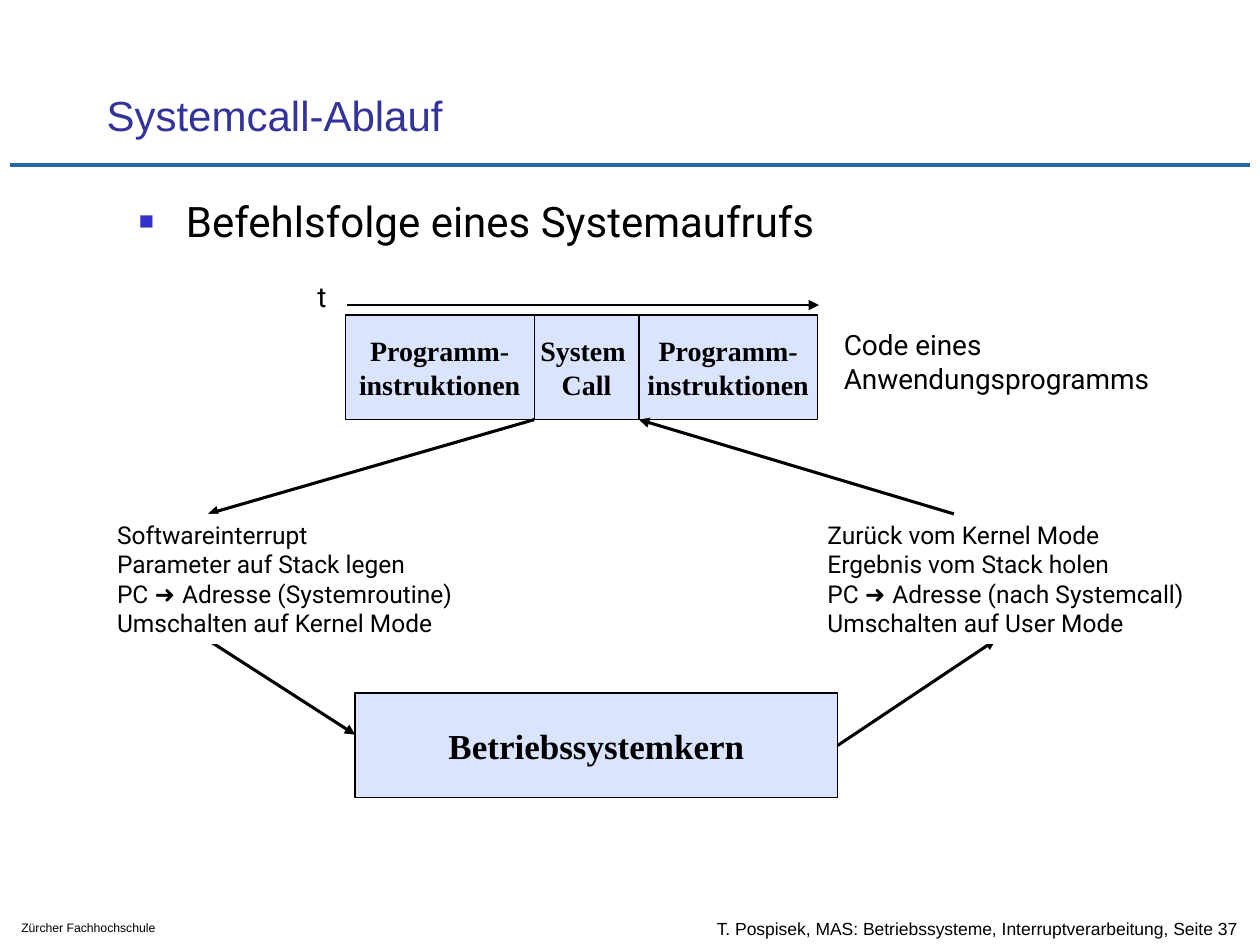
from lxml import etree
from pptx import Presentation
from pptx.dml.color import RGBColor
from pptx.enum.shapes import MSO_CONNECTOR as Connector, MSO_SHAPE as Shape
from pptx.enum.text import MSO_ANCHOR as Anchor, PP_ALIGN as Align
from pptx.oxml.ns import qn
from pptx.util import Cm, Pt

BLACK = RGBColor(0x00, 0x00, 0x00)
WHITE = RGBColor(0xFF, 0xFF, 0xFF)
TITLE_BLUE = RGBColor(0x33, 0x33, 0x99)
RULE_BLUE = RGBColor(0x22, 0x66, 0xAB)
BOX_BLUE = RGBColor(0xDA, 0xE4, 0xFF)
BULLET_BLUE = "3333CC"
ARROW_SIGN = "➜ "


def write(shape, text, size=14, font="Roboto", color=BLACK, bold=False,
          align=Align.LEFT, anchor=Anchor.TOP, wrap=False):
    """Write one paragraph per line; the arrow sign is set in Arial."""
    frame = shape.text_frame
    frame.word_wrap = wrap
    frame.vertical_anchor = anchor
    for i, line in enumerate(text.split("\n")):
        paragraph = frame.add_paragraph() if i else frame.paragraphs[0]
        paragraph.alignment = align
        for part in filter(None, line.partition(ARROW_SIGN)):
            run = paragraph.add_run()
            run.text = part
            run.font.name = "Arial" if part == ARROW_SIGN else font
            run.font.size = Pt(size)
            run.font.bold = bold
            run.font.color.rgb = color


def add_text(slide, area, text, **style):
    box = slide.shapes.add_textbox(*map(Cm, area))
    write(box, text, **style)
    return box


def add_rect(slide, area, fill, text, outlined=False, **style):
    rect = slide.shapes.add_shape(Shape.RECTANGLE, *map(Cm, area))
    rect.shadow.inherit = False
    rect.fill.solid()
    rect.fill.fore_color.rgb = fill
    if outlined:
        rect.line.color.rgb = BLACK
        rect.line.width = Pt(0.75)
    else:
        rect.line.fill.background()
    write(rect, text, **style)
    return rect


def add_block(slide, area, text, size=16):
    return add_rect(slide, area, BOX_BLUE, text, outlined=True, size=size,
                    font="Times New Roman", bold=True, align=Align.CENTER,
                    anchor=Anchor.MIDDLE)


def add_label(slide, area, text, size=14):
    return add_rect(slide, area, WHITE, text, size=size)


def add_line(slide, start, end, width=1.75, color=BLACK, arrow=True):
    line = slide.shapes.add_connector(Connector.STRAIGHT, *map(Cm, start + end))
    line.line.color.rgb = color
    line.line.width = Pt(width)
    if arrow:
        etree.SubElement(line.line._get_or_add_ln(), qn("a:tailEnd"), type="triangle")
    etree.SubElement(line._element.spPr, qn("a:effectLst"))
    return line


def add_square_bullet(paragraph):
    properties = paragraph._p.get_or_add_pPr()
    properties.set("marL", str(Cm(0.96)))
    properties.set("indent", str(-Cm(0.95)))
    color = etree.SubElement(properties, qn("a:buClr"))
    etree.SubElement(color, qn("a:srgbClr"), val=BULLET_BLUE)
    etree.SubElement(properties, qn("a:buSzPct"), val="60000")
    etree.SubElement(properties, qn("a:buFont"), typeface="Arial")
    etree.SubElement(properties, qn("a:buChar"), char="■")


def add_frame(slide):
    # Rule, footers, title and heading
    add_line(slide, (0.2, 3.33), (25.2, 3.33), width=2.5, color=RULE_BLUE, arrow=False)
    add_text(slide, (14.2, 18.29, 11.2, 0.84),
             "T. Pospisek, MAS: Betriebssysteme, Interruptverarbeitung, Seite 37",
             size=10, font="Arial", anchor=Anchor.MIDDLE)
    add_text(slide, (0.18, 18.42, 4.37, 0.56), "Zürcher Fachhochschule",
             size=7, font="Arial", wrap=True)
    add_text(slide, (1.9, 1.12, 21.64, 1.83), "Systemcall-Ablauf", size=24,
             font="Arial", color=TITLE_BLUE, anchor=Anchor.BOTTOM, wrap=True)
    heading = add_text(slide, (2.54, 3.81, 21.59, 1.9),
                       "Befehlsfolge eines Systemaufrufs", size=24, wrap=True)
    add_square_bullet(heading.text_frame.paragraphs[0])


def add_sequence(slide):
    # Program code along the time axis
    code_top, block_height = 6.35, 2.11
    code_bottom = code_top + block_height
    call_left, call_right = 10.77, 12.88
    edges = [6.96, call_left, call_right, 16.48]
    texts = ["Programm-\ninstruktionen", "System \nCall", "Programm-\ninstruktionen"]
    for left, right, text in zip(edges, edges[1:], texts):
        add_block(slide, (left, code_top, right - left, block_height), text)
    add_label(slide, (16.76, 6.48, 7.09, 1.6), "Code eines\nAnwendungsprogramms", size=16)
    add_line(slide, (6.99, 6.15), (16.51, 6.15), width=0.75)
    add_label(slide, (6.15, 5.51, 0.71, 0.94), "t", size=16)

    # Operating system kernel
    kernel = add_block(slide, (7.16, 13.97, 9.73, block_height), "Betriebssystemkern", size=20)

    # Arrows into the kernel and back; the labels cover their ends
    label_top, label_bottom = 10.36, 12.9
    add_line(slide, (call_left, code_bottom), (4.19, label_top))
    add_line(slide, (4.19, label_bottom), (7.16, 14.81))
    kernel_exit = add_line(slide, (16.89, 15.03), (20.07, label_bottom))
    kernel_exit.begin_connect(kernel, 3)
    add_label(slide, (2.11, label_top, 7.44, 2.62),
              "Softwareinterrupt\nParameter auf Stack legen\n"
              "PC ➜ Adresse (Systemroutine)\nUmschalten auf Kernel Mode")
    add_label(slide, (16.43, label_top, 7.77, 2.62),
              "Zurück vom Kernel Mode\nErgebnis vom Stack holen\n"
              "PC ➜ Adresse (nach Systemcall)\nUmschalten auf User Mode")
    add_line(slide, (19.23, label_top), (call_right, code_bottom))


def main():
    presentation = Presentation()
    presentation.slide_width, presentation.slide_height = Cm(25.4), Cm(19.05)
    slide = presentation.slides.add_slide(presentation.slide_layouts[6])
    add_frame(slide)
    add_sequence(slide)
    presentation.save("out.pptx")


if __name__ == "__main__":
    main()
